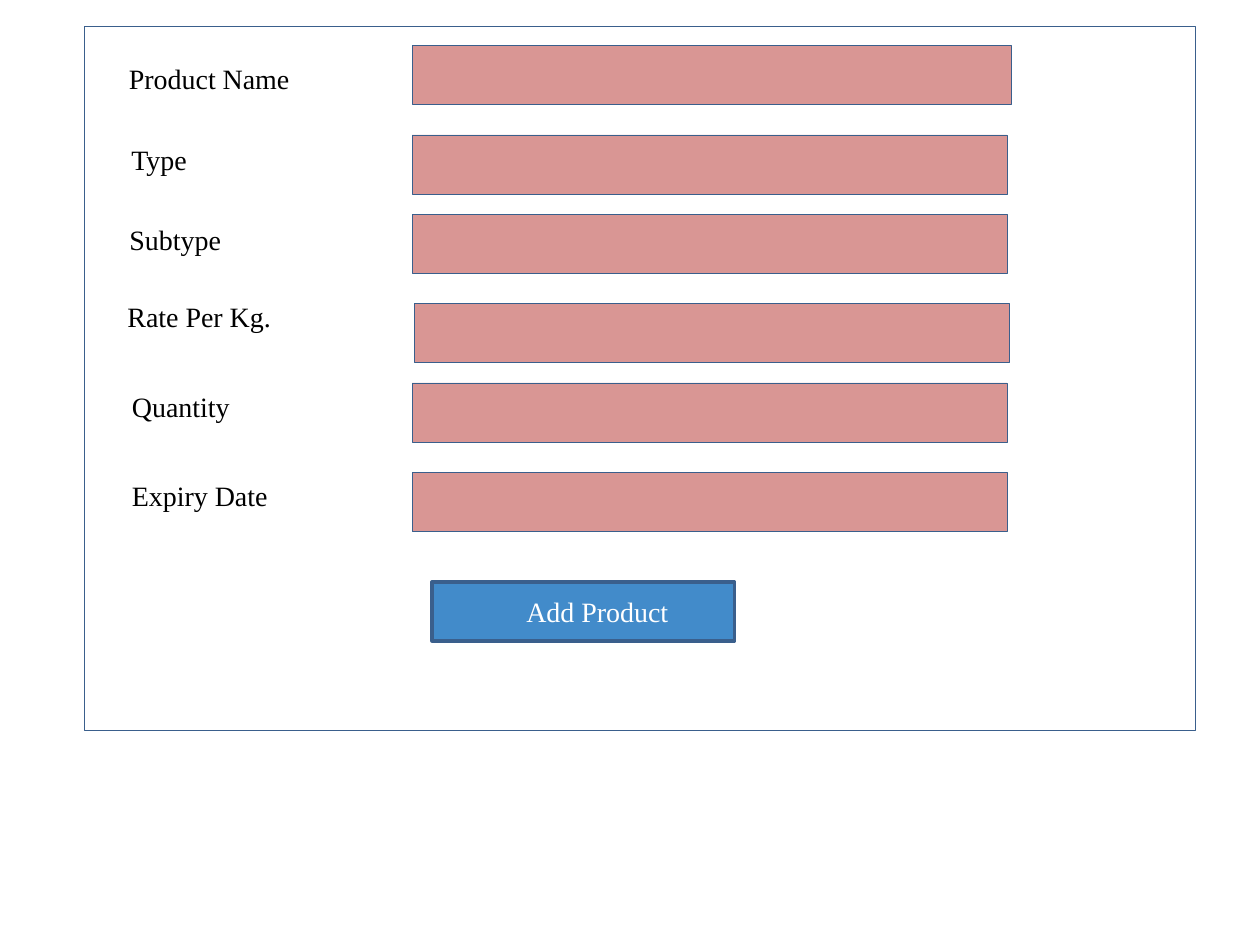
from dataclasses import dataclass

import pptx
import pptx.dml.color
import pptx.enum.shapes
import pptx.enum.text
import pptx.util
from pptx.util import Cm

OUTLINE = pptx.dml.color.RGBColor(0x3A, 0x5F, 0x8C)
FIELD_FILL = pptx.dml.color.RGBColor(0xD9, 0x96, 0x94)
BUTTON_FILL = pptx.dml.color.RGBColor(0x42, 0x8B, 0xCA)
BLACK = pptx.dml.color.RGBColor(0x00, 0x00, 0x00)
WHITE = pptx.dml.color.RGBColor(0xFF, 0xFF, 0xFF)

FONT_NAME = "Times New Roman"
FONT_SIZE = 16
FIELD_HEIGHT = 1.19
LABEL_WIDTH = 7.39
LABEL_HEIGHT = 0.94


@dataclass(frozen=True)
class Box:
    left: float
    top: float
    width: float
    height: float

    def lengths(self) -> tuple[Cm, Cm, Cm, Cm]:
        return Cm(self.left), Cm(self.top), Cm(self.width), Cm(self.height)


@dataclass(frozen=True)
class FormRow:
    label: str
    label_left: float
    label_top: float
    label_indent: float
    field_top: float
    field_left: float = 8.31
    field_width: float = 11.99


PANEL = Box(1.7, 0.53, 22.4, 14.2)
BUTTON = Box(8.71, 11.73, 6.1, FIELD_HEIGHT)
BUTTON_CAPTION = Box(10.36, 11.86, 3.45, LABEL_HEIGHT)

FORM_ROWS = [
    FormRow("Product Name", 1.5, 1.12, 0.85, 0.91, field_width=12.07),
    FormRow("Type", 1.55, 2.74, 0.85, 2.72),
    FormRow("Subtype", 1.65, 4.37, 0.71, 4.32),
    FormRow("Rate Per Kg.", 1.9, 5.92, 0.42, 6.12, field_left=8.36),
    FormRow("Quantity", 1.7, 7.72, 0.71, 7.72),
    FormRow("Expiry Date", 1.7, 9.53, 0.71, 9.53),
]


def add_rectangle(
    slide: pptx.slide.Slide,
    box: Box,
    fill: pptx.dml.color.RGBColor | None = None,
    line_width: float = 0.25,
) -> None:
    shape = slide.shapes.add_shape(
        pptx.enum.shapes.MSO_SHAPE.RECTANGLE, *box.lengths()
    )
    shape.shadow.inherit = False
    if fill is None:
        shape.fill.background()
    else:
        shape.fill.solid()
        shape.fill.fore_color.rgb = fill
    shape.line.color.rgb = OUTLINE
    shape.line.width = pptx.util.Pt(line_width)


def add_text(
    slide: pptx.slide.Slide,
    box: Box,
    text: str,
    color: pptx.dml.color.RGBColor,
    indent: float = 0,
) -> None:
    text_frame = slide.shapes.add_textbox(*box.lengths()).text_frame
    text_frame.word_wrap = True
    text_frame.auto_size = pptx.enum.text.MSO_AUTO_SIZE.SHAPE_TO_FIT_TEXT
    paragraph = text_frame.paragraphs[0]
    paragraph.text = text
    paragraph.font.name = FONT_NAME
    paragraph.font.size = pptx.util.Pt(FONT_SIZE)
    paragraph.font.color.rgb = color
    if indent:
        paragraph._p.get_or_add_pPr().set("marL", str(int(Cm(indent))))


def add_form_row(slide: pptx.slide.Slide, row: FormRow) -> None:
    field = Box(row.field_left, row.field_top, row.field_width, FIELD_HEIGHT)
    label = Box(row.label_left, row.label_top, LABEL_WIDTH, LABEL_HEIGHT)
    add_rectangle(slide, field, FIELD_FILL)
    add_text(slide, label, row.label, BLACK, row.label_indent)


def main() -> None:
    presentation = pptx.Presentation()
    presentation.slide_width = Cm(25.4)
    presentation.slide_height = Cm(19.05)
    slide = presentation.slides.add_slide(presentation.slide_layouts[6])

    add_rectangle(slide, PANEL)
    for row in FORM_ROWS:
        add_form_row(slide, row)
    add_rectangle(slide, BUTTON, BUTTON_FILL, line_width=2)
    add_text(slide, BUTTON_CAPTION, "Add Product", WHITE)

    presentation.save("out.pptx")


if __name__ == "__main__":
    main()
